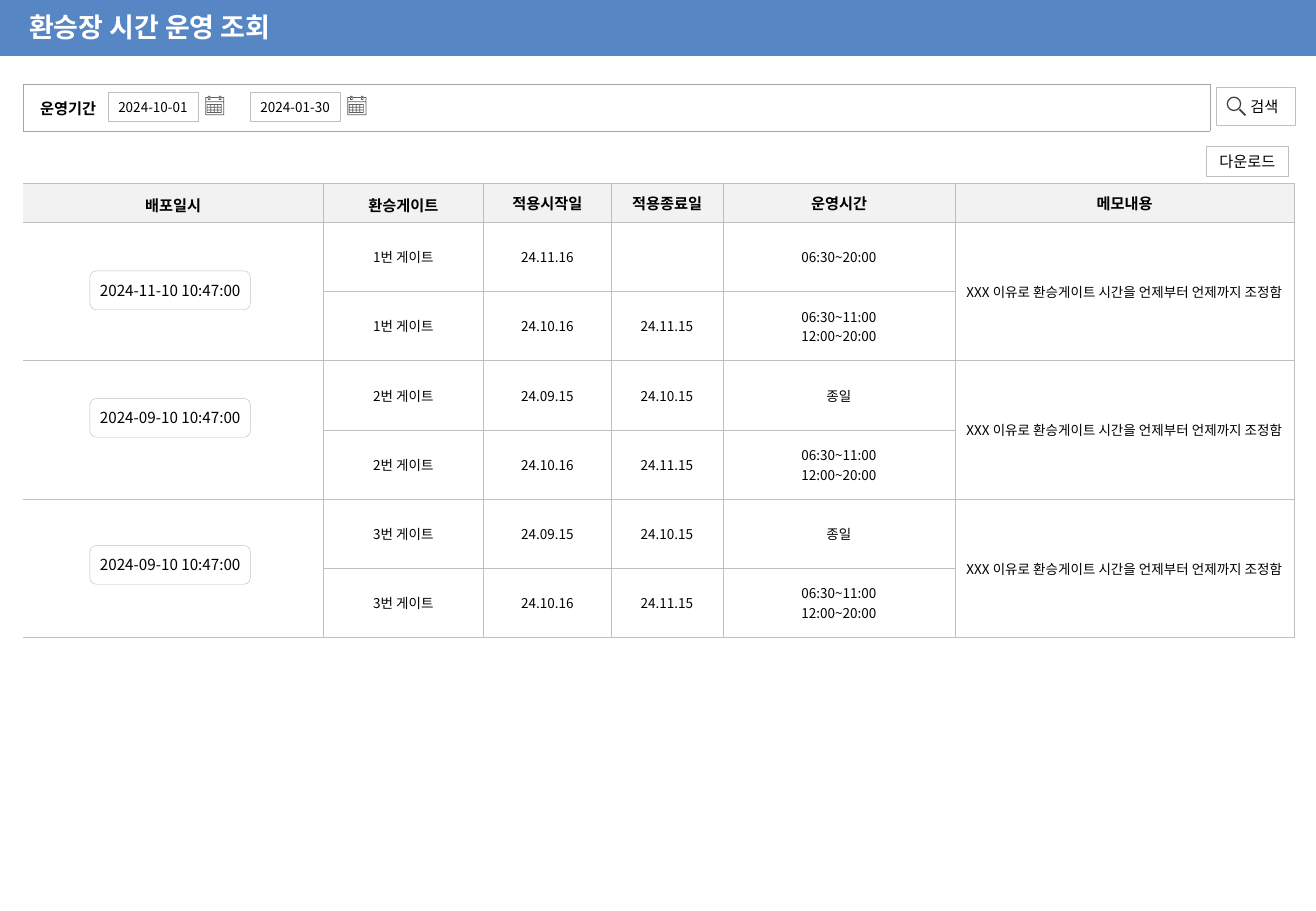
"""Build the transfer gate hours lookup screen as one slide."""
from dataclasses import dataclass

from lxml.etree import SubElement as Sub
from pptx import Presentation
from pptx.dml.color import RGBColor as Rgb
from pptx.enum.shapes import MSO_CONNECTOR as Link, MSO_SHAPE as Kind
from pptx.enum.text import MSO_ANCHOR as Anchor, PP_ALIGN as Align
from pptx.oxml.ns import qn
from pptx.util import Pt

PX = 9144


@dataclass(frozen=True)
class Theme:
    """Hold the colours, font and type sizes."""
    font: str = "Noto Sans CJK KR"
    blue: str = "5786C5"
    white: str = "FFFFFF"
    black: str = "000000"
    shade: str = "F2F2F2"
    rule: str = "BFBFBF"
    frame: str = "A6A6A6"
    lens: str = "404040"
    icon: str = "5F5F5F"
    title: int = 16
    label: int = 9
    small: int = 8
    hair: float = 0.25


T = Theme()
HEADS = ["배포일시", "환승게이트", "적용시작일", "적용종료일", "운영시간", "메모내용"]
COLS = [247, 132, 105, 92, 191, 279]
SPLIT = "06:30~11:00\n12:00~20:00"
MEMO = "XXX 이유로 환승게이트 시간을 언제부터 언제까지 조정함"
FIRST = [("24.11.16", "", "06:30~20:00")] + [("24.09.15", "24.10.15", "종일")] * 2
LAST = ("24.10.16", "24.11.15", SPLIT)
STAMPS = [(72, "2024-11-10 10:47:00"), (177, "2024-09-10 10:47:00"),
          (298, "2024-09-10 10:47:00")]


def px(*nums):
    """Turn px lengths into EMU."""
    return [round(n * PX) for n in nums]


def write(frame, text, size, color=T.black, bold=False, align=Align.CENTER, lead=None):
    """Fill a text frame, one paragraph for each line."""
    for i, line in enumerate(text.split("\n")):
        para = frame.add_paragraph() if i else frame.paragraphs[0]
        para.alignment = align
        if lead:
            para.line_spacing = lead
        run = para.add_run()
        run.text = line
        font = run.font
        font.size, font.bold, font.name = Pt(size), bold, T.font
        font.color.rgb = Rgb.from_string(color)
        Sub(font._element, qn("a:ea"), typeface=T.font)


def inset(item, left, top, right, low):
    """Set the margins of a frame or cell."""
    item.margin_left, item.margin_top, item.margin_right, item.margin_bottom = px(
        left, top, right, low)


def block(shapes, kind, box, fill=T.white, line=T.rule, width=T.hair):
    """Add a flat preset shape."""
    shape = shapes.add_shape(kind, *px(*box))
    shape.shadow.inherit = False
    shape.fill.solid()
    shape.fill.fore_color.rgb = Rgb.from_string(fill)
    if line:
        shape.line.color.rgb = Rgb.from_string(line)
        shape.line.width = Pt(width)
    else:
        shape.line.fill.background()
    return shape


def field(shapes, kind, box, text, size, pad=(4, 2, 4, 2), align=Align.CENTER):
    """Add a bordered box with one label."""
    frame = block(shapes, kind, box).text_frame
    frame.word_wrap = True
    frame.vertical_anchor = Anchor.MIDDLE
    inset(frame, *pad)
    write(frame, text, size, align=align)


def edge(cell, color, sides="LRTB"):
    """Draw hairlines on the named sides of a cell."""
    props = cell._tc.get_or_add_tcPr()
    for side in "LRTB":
        line = Sub(props, qn("a:ln" + side), w=str(Pt(T.hair)))
        if side in sides:
            Sub(Sub(line, qn("a:solidFill")), qn("a:srgbClr"), val=color)
        else:
            Sub(line, qn("a:noFill"))


def sheet(slide, box, cols, rows):
    """Add a plain table of given column and row sizes."""
    table = slide.shapes.add_table(len(rows), len(cols), *px(*box)).table
    table.first_row = table.horz_banding = False
    for col, width in zip(table.columns, px(*cols)):
        col.width = width
    for row, height in zip(table.rows, px(*rows)):
        row.height = height
    return table


def banner(slide, box):
    """Place the blue bar and the title."""
    x, y, w, h = box
    bar = block(slide.shapes, Kind.RECTANGLE, box, T.blue, None)
    slide.shapes._spTree.insert(2, bar._element)
    title = slide.shapes.title
    title.left, title.top, title.width, title.height = px(x + 14, y + 4, w - 14, h - 9)
    frame = title.text_frame
    frame.vertical_anchor = Anchor.TOP
    inset(frame, 10, 5, 10, 5)
    write(frame, "환승장 시간 운영 조회", T.title, T.white, True, Align.LEFT)


def diary(shapes, x, y):
    """Draw a calendar icon in tenths of a px."""
    rings = [(left + d, d, 20 - 2 * d, 32 - 2 * d) for left in (22, 112) for d in (0, 6)]
    days = [(18 + 29 * c, 74 + 22 * r, 23, 16) for r in range(3) for c in range(4)]
    parts = [(0, 10, 155, 148), (6, 16, 143, 28), (6, 50, 143, 102),
             (12, 68, 122, 72)] + rings + days
    pen = shapes.build_freeform(0, 10, scale=PX / 10)
    for left, top, w, h in parts:
        pen.move_to(left, top)
        pen.add_line_segments([(left + w, top), (left + w, top + h), (left, top + h)])
    shape = pen.convert_to_shape(*px(x, y))
    shape.shadow.inherit = False
    shape.fill.solid()
    shape.fill.fore_color.rgb = Rgb.from_string(T.icon)
    shape.line.fill.background()


def search(slide, box):
    """Place the search button with its lens."""
    x, y, w, h = box
    shapes = slide.shapes.add_group_shape().shapes
    field(shapes, Kind.RECTANGLE, box, "검색", T.label, (28, 4, 4, 4), Align.LEFT)
    block(shapes, Kind.OVAL, (x + 9, y + 8, 11, 11), T.white, T.lens, 0.75)
    stem = shapes.add_connector(Link.STRAIGHT, *px(x + 19, y + 18, x + 24, y + 23))
    stem.line.color.rgb = Rgb.from_string(T.lens)
    stem.line.width = Pt(1)
    Sub(stem._element.spPr, qn("a:effectLst"))


def period(slide, box):
    """Place the period bar with two date fields."""
    x, y, w, h = box
    cell = sheet(slide, box, [w], [h]).cell(0, 0)
    edge(cell, T.frame)
    cell.fill.background()
    cell.vertical_anchor = Anchor.MIDDLE
    inset(cell, 14, 8, 8, 8)
    write(cell.text_frame, "운영기간", T.label, bold=True, align=Align.LEFT)
    for i, day in enumerate(["2024-10-01", "2024-01-30"]):
        left = x + 70 + 117 * i
        field(slide.shapes, Kind.RECTANGLE, (left, y + 7, 74, 24), day, T.small)
        diary(slide.shapes, left + 80, y + 10)


def hours(slide, box):
    """Place the table of gate hours and its time stamps."""
    x, y, w, h = box
    rows = [HEADS]
    for gate, first in enumerate(FIRST, 1):
        name = f"{gate}번 게이트"
        rows += [["", name, *first, MEMO], ["", name, *LAST, ""]]
    table = sheet(slide, box, COLS, [32] + [57] * 6)
    for r, row in enumerate(rows):
        for c, text in enumerate(row):
            cell = table.cell(r, c)
            edge(cell, T.rule, "LRTB" if c else "RTB")
            cell.fill.solid()
            cell.fill.fore_color.rgb = Rgb.from_string(T.white if r else T.shade)
            cell.vertical_anchor = Anchor.MIDDLE
            inset(cell, *[8 if r else 4] * 4)
            if text:
                write(cell.text_frame, text, T.small if r else T.label, bold=not r,
                      lead=1.2 if not r and c < 2 else None)
    for top in range(1, 7, 2):
        for c in (0, 5):
            table.cell(top, c).merge(table.cell(top + 1, c))
    for top, stamp in STAMPS:
        field(slide.shapes, Kind.ROUNDED_RECTANGLE, (x + 55, y + top, 132, 32), stamp, T.label)


def main():
    """Build and save the deck."""
    deck = Presentation()
    deck.slide_width, deck.slide_height = px(1083, 750)
    slide = deck.slides.add_slide(deck.slide_layouts[5])
    banner(slide, (0, 0, 1083, 46))
    period(slide, (19, 69, 977, 39))
    search(slide, (1001, 72, 65, 31))
    field(slide.shapes, Kind.RECTANGLE, (993, 120, 67, 25), "다운로드", T.label)
    hours(slide, (19, 151, 1046, 374))
    deck.save("out.pptx")


if __name__ == "__main__":
    main()
